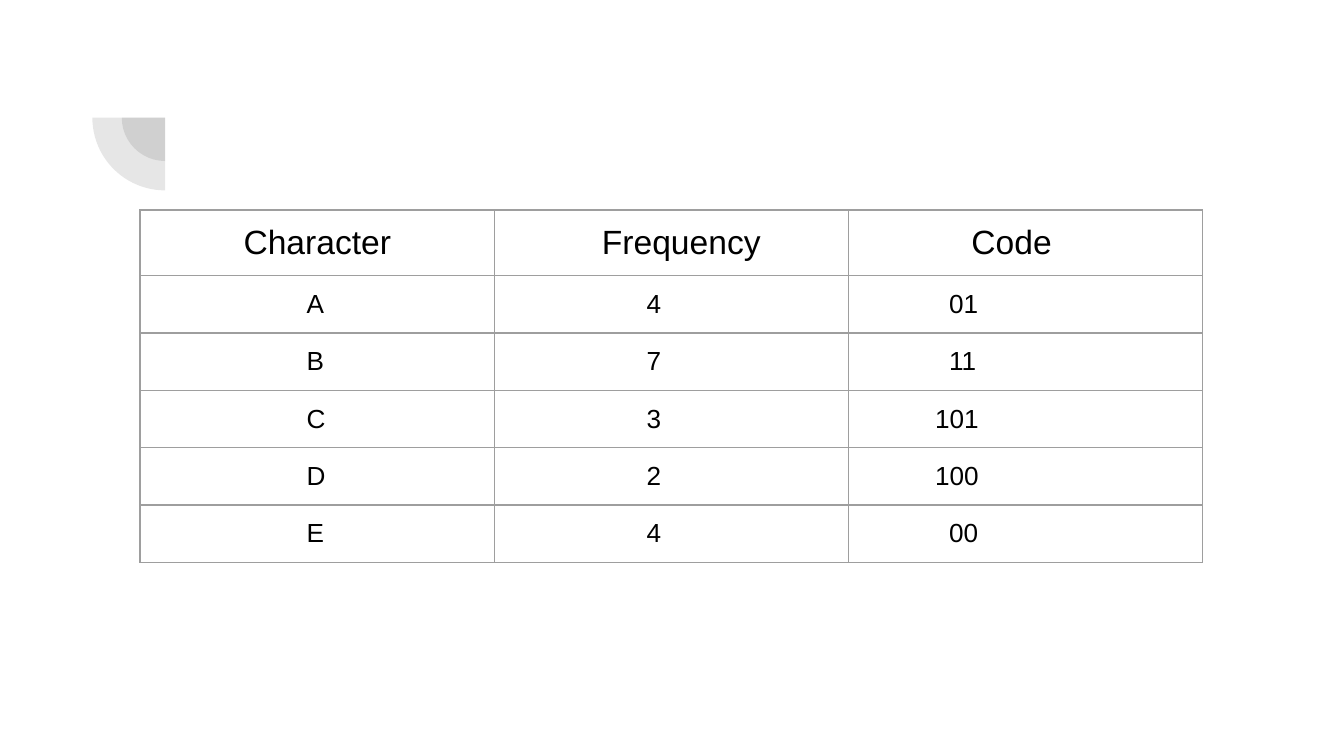
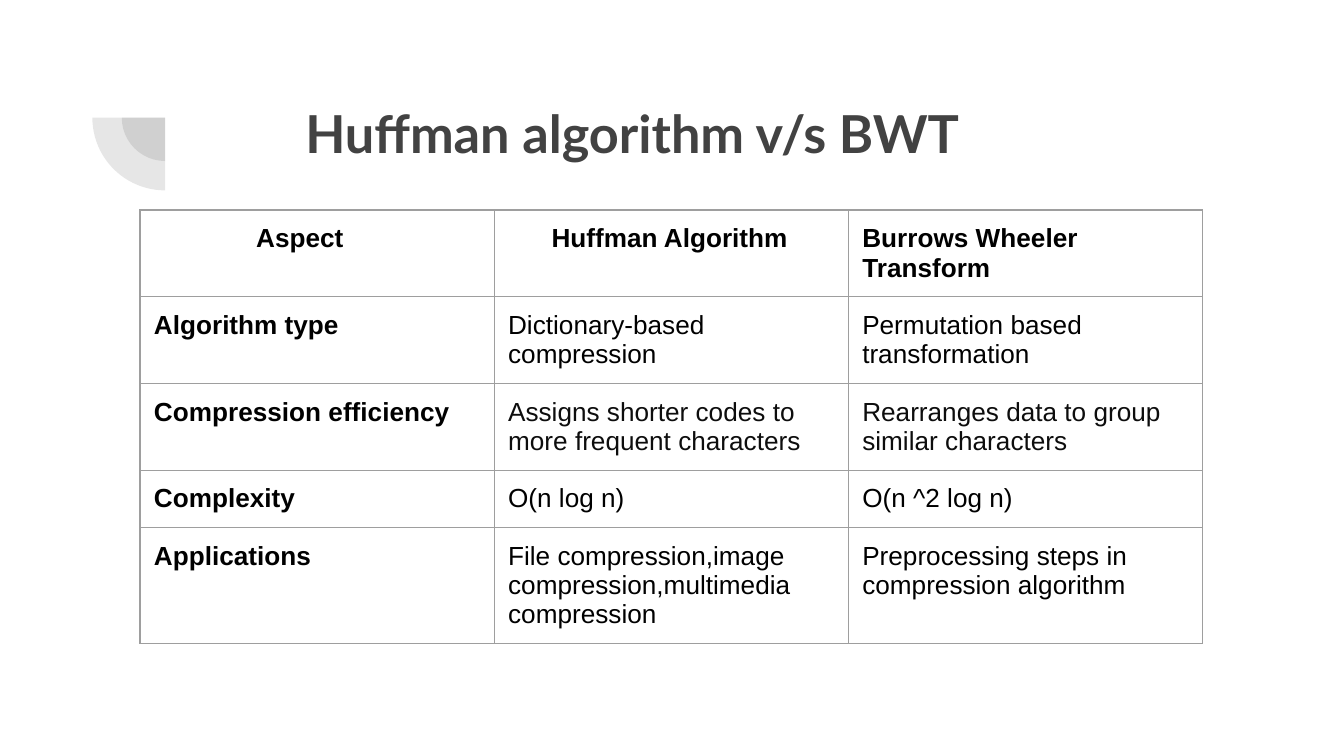
"""Build two slides that tabulate Huffman codes and compare Huffman with BWT."""
from dataclasses import dataclass

from lxml import etree
from pptx import Presentation
from pptx import util as u
from pptx.dml.color import RGBColor
from pptx.enum import shapes, text
from pptx.oxml import ns

PX = 9525
GREY, BLACK, INK, RULE = "424242", "000000", "0D0D0D", "9E9E9E"
BODY_FONT, TITLE_FONT = "Arial", "Lato"
INSET = 10
TABLE_LEFT, TABLE_TOP, COL_WIDTH, ROW_HEIGHT = 100, 150, 253, 40
PIE_X, PIE_Y, PIE_RADII = 118, 84, (31, 52)


@dataclass(frozen=True)
class Cell:
    """Text of one table cell with its left indent in px."""
    text: str
    indent: int = 0
    size: int = 14
    bold: bool = False
    color: str = BLACK


def px(n: int) -> u.Emu:
    """Turn px into EMU."""
    return u.Emu(n * PX)


def rgb(color: str) -> RGBColor:
    """Turn a hex string into a colour."""
    return RGBColor.from_string(color)


def format_text(tf, font: str, size: int, bold: bool, color: str, indent: int) -> None:
    """Indent and format the only paragraph of a text frame."""
    p = tf.paragraphs[0]
    p.alignment = text.PP_ALIGN.LEFT
    pPr = p._p.get_or_add_pPr()
    pPr.set("marL", str(px(indent)))
    pPr.set("indent", "0")
    for r in p.runs:
        r.font.name, r.font.size, r.font.bold = font, u.Pt(size), bold
        r.font.color.rgb = rgb(color)


def set_margins(box) -> None:
    """Give a cell or text frame the shared inset on all sides."""
    box.margin_left = box.margin_right = px(INSET)
    box.margin_top = box.margin_bottom = px(INSET)


def add_quarters(s) -> None:
    """Draw the translucent quarter circles of the slide corner."""
    for radius in PIE_RADII:
        sp = s.shapes.add_shape(shapes.MSO_SHAPE.PIE, px(PIE_X - radius), px(PIE_Y - radius),
                                px(2 * radius), px(2 * radius))
        sp.adjustments[0], sp.adjustments[1] = 108, 162
        sp.rotation = 270
        sp.shadow.inherit = False
        sp.line.fill.background()
        sp.fill.solid()
        sp.fill.fore_color.rgb = rgb(GREY)
        clr = sp._element.spPr.find(".//" + ns.qn("a:srgbClr"))
        etree.SubElement(clr, ns.qn("a:alpha"), val="13000")


def add_title(s, title: str) -> None:
    """Fill, place and format the title placeholder."""
    sp = s.shapes.title
    sp.left, sp.top, sp.width, sp.height = px(137), px(62), px(738), px(105)
    tf = sp.text_frame
    tf.text = title
    tf.word_wrap = True
    tf.auto_size = text.MSO_AUTO_SIZE.NONE
    tf.vertical_anchor = text.MSO_ANCHOR.TOP
    set_margins(tf)
    format_text(tf, TITLE_FONT, 28, True, GREY, 71)


def add_borders(cell) -> None:
    """Rule all four sides of a cell."""
    tcPr = cell._tc.get_or_add_tcPr()
    for side in ("lnL", "lnR", "lnT", "lnB"):
        ln = etree.SubElement(tcPr, ns.qn(f"a:{side}"), w=str(u.Pt(0.75)))
        fill = etree.SubElement(ln, ns.qn("a:solidFill"))
        etree.SubElement(fill, ns.qn("a:srgbClr"), val=RULE)


def add_grid(s, rows: list[list[Cell]]) -> None:
    """Add a plain ruled table."""
    n_cols = len(rows[0])
    table = s.shapes.add_table(len(rows), n_cols, px(TABLE_LEFT), px(TABLE_TOP),
                               px(COL_WIDTH * n_cols), px(ROW_HEIGHT * len(rows))).table
    table.first_row = table.horz_banding = False
    for i, row in enumerate(rows):
        for j, item in enumerate(row):
            cell = table.cell(i, j)
            cell.text_frame.text = item.text
            set_margins(cell)
            add_borders(cell)
            cell.fill.background()
            format_text(cell.text_frame, BODY_FONT, item.size, item.bold, item.color, item.indent)


def code_rows() -> list[list[Cell]]:
    """List the characters with their frequencies and codes."""
    head = [Cell("Character", 64, 18), Cell("Frequency", 67, 18), Cell("Code", 78, 18)]
    codes = [("A", "4", "01"), ("B", "7", "11"), ("C", "3", "101"), ("D", "2", "100"), ("E", "4", "00")]
    return [head] + [[Cell(char, 109), Cell(freq, 99), Cell(code, 62 if len(code) == 2 else 52)]
                     for char, freq, code in codes]


def comparison_rows() -> list[list[Cell]]:
    """List the aspects in which the two algorithms differ."""
    head = [Cell("Aspect", 73, bold=True), Cell("Huffman Algorithm", 31, bold=True),
            Cell("Burrows Wheeler Transform", bold=True)]
    aspects = [
        ("Algorithm type", "Dictionary-based compression", "Permutation based transformation", BLACK),
        ("Compression efficiency", "Assigns shorter codes to more frequent characters",
         "Rearranges data to group similar characters", INK),
        ("Complexity", "O(n log n)", "O(n ^2 log n)", BLACK),
        ("Applications", "File compression,image compression,multimedia compression",
         "Preprocessing steps in compression algorithm", BLACK),
    ]
    return [head] + [[Cell(aspect, bold=True), Cell(huffman, color=color), Cell(bwt, color=color)]
                     for aspect, huffman, bwt, color in aspects]


def main() -> None:
    """Build and save the slides."""
    prs = Presentation()
    prs.slide_width, prs.slide_height = px(960), px(540)
    title_only, blank = prs.slide_layouts[5], prs.slide_layouts[6]
    for title, rows in (("", code_rows()), ("Huffman algorithm v/s BWT", comparison_rows())):
        s = prs.slides.add_slide(title_only if title else blank)
        add_quarters(s)
        if title:
            add_title(s, title)
        add_grid(s, rows)
    prs.save("out.pptx")


if __name__ == "__main__":
    main()
